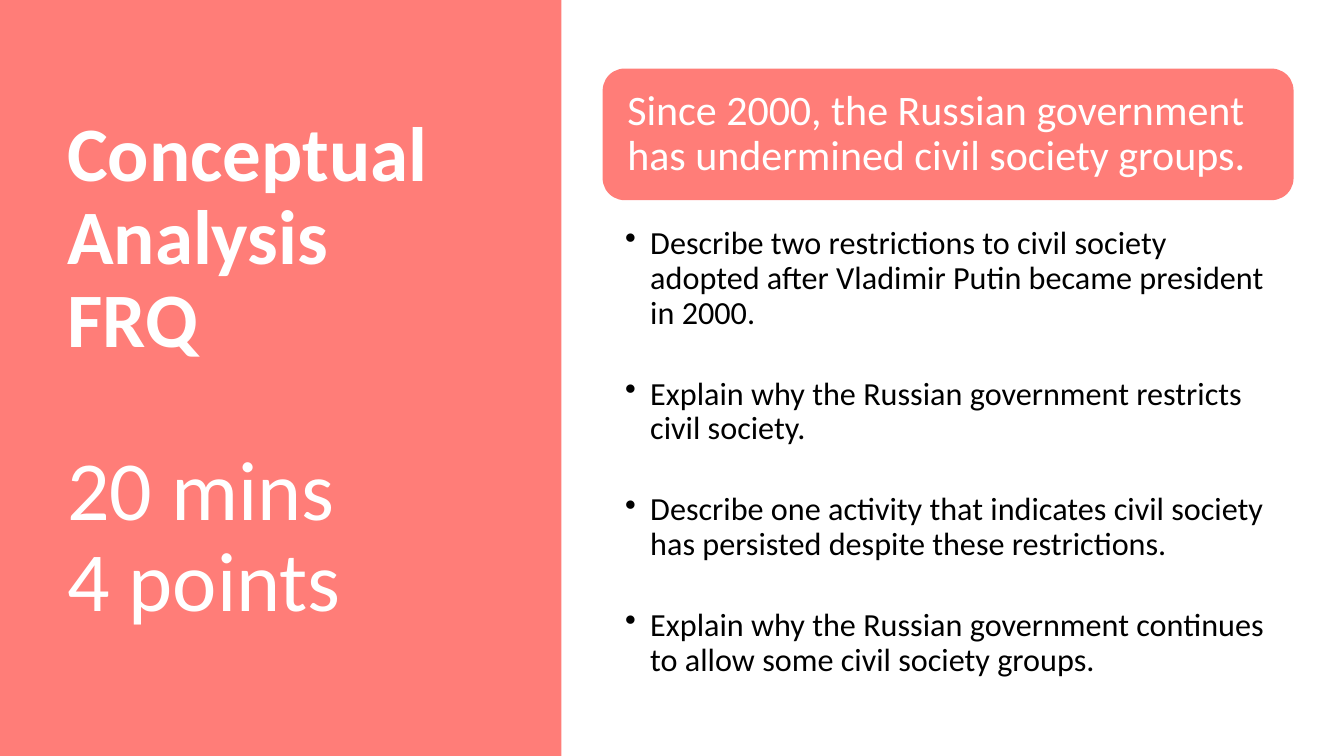
from dataclasses import dataclass

import lxml.etree
import pptx
import pptx.dml.color
import pptx.enum.shapes
import pptx.enum.text
import pptx.oxml.ns
import pptx.shapes.autoshape
import pptx.slide
import pptx.text.text
import pptx.util

Pt = pptx.util.Pt
RGBColor = pptx.dml.color.RGBColor
Shapes = pptx.enum.shapes.MSO_SHAPE
Anchor = pptx.enum.text.MSO_ANCHOR


@dataclass(frozen=True)
class Theme:
    font: str = "Calibri"
    coral: RGBColor = RGBColor(0xFF, 0x7D, 0x78)
    white: RGBColor = RGBColor(0xFF, 0xFF, 0xFF)
    black: RGBColor = RGBColor(0x00, 0x00, 0x00)
    title_size: float = 55
    timing_size: float = 60
    prompt_size: float = 30
    task_size: float = 23
    line_spacing: float = 0.9


@dataclass(frozen=True)
class Box:
    left: float
    top: float
    width: float
    height: float


@dataclass(frozen=True)
class Line:
    text: str
    size: float
    color: RGBColor
    bold: bool = False
    space_before: float = 0
    bulleted: bool = False


THEME = Theme()
SLIDE_WIDTH, SLIDE_HEIGHT = 960, 540
BULLET_INDENT = 18
TASK_GAP = 33

SIDE_PANEL = Box(0, 0, 401, SLIDE_HEIGHT)
TITLE_BOX = Box(41, 49, 299.5, 433.5)
PROMPT_BOX = Box(430.5, 49, 493.5, 94)
TASK_BOX = Box(430.5, 159, 493.5, 352)

TITLE_LINES = [
    Line("Conceptual Analysis FRQ", THEME.title_size, THEME.white, bold=True),
    Line("20 mins", THEME.timing_size, THEME.white, space_before=60),
    Line("4 points", THEME.timing_size, THEME.white),
]
PROMPT_LINES = [
    Line(
        "Since 2000, the Russian government has undermined civil society groups.",
        THEME.prompt_size,
        THEME.white,
    )
]
TASKS = [
    "Describe two restrictions to civil society adopted after Vladimir Putin became president in 2000.",
    "Explain why the Russian government restricts civil society.",
    "Describe one activity that indicates civil society has persisted despite these restrictions.",
    "Explain why the Russian government continues to allow some civil society groups.",
]
TASK_LINES = [
    Line(
        task,
        THEME.task_size,
        THEME.black,
        space_before=TASK_GAP if index else 0,
        bulleted=True,
    )
    for index, task in enumerate(TASKS)
]


def add_panel(
    slide: pptx.slide.Slide, box: Box, kind: Shapes
) -> pptx.shapes.autoshape.Shape:
    shape = slide.shapes.add_shape(
        kind, Pt(box.left), Pt(box.top), Pt(box.width), Pt(box.height)
    )
    shape.shadow.inherit = False
    shape.fill.solid()
    shape.fill.fore_color.rgb = THEME.coral
    shape.line.fill.background()
    return shape


def add_text_box(slide: pptx.slide.Slide, box: Box) -> pptx.shapes.autoshape.Shape:
    return slide.shapes.add_textbox(
        Pt(box.left), Pt(box.top), Pt(box.width), Pt(box.height)
    )


def add_bullet(paragraph: pptx.text.text._Paragraph) -> None:
    properties = paragraph._p.get_or_add_pPr()
    properties.set("marL", str(Pt(BULLET_INDENT)))
    properties.set("indent", str(-Pt(BULLET_INDENT)))
    bullet = lxml.etree.SubElement(properties, pptx.oxml.ns.qn("a:buChar"))
    bullet.set("char", "•")


def write_lines(
    shape: pptx.shapes.autoshape.Shape,
    lines: list[Line],
    anchor: Anchor,
    side_margin: float,
    end_margin: float,
) -> None:
    """Fill the shape with one left-aligned paragraph per line."""
    frame = shape.text_frame
    frame.word_wrap = True
    frame.vertical_anchor = anchor
    frame.margin_left = frame.margin_right = Pt(side_margin)
    frame.margin_top = frame.margin_bottom = Pt(end_margin)
    frame.text = "\n".join(line.text for line in lines)
    for paragraph, line in zip(frame.paragraphs, lines):
        paragraph.alignment = pptx.enum.text.PP_ALIGN.LEFT
        paragraph.line_spacing = THEME.line_spacing
        paragraph.space_before = Pt(line.space_before)
        if line.bulleted:
            add_bullet(paragraph)
        for run in paragraph.runs:
            run.font.name = THEME.font
            run.font.size = Pt(line.size)
            run.font.bold = line.bold
            run.font.color.rgb = line.color


def main() -> None:
    presentation = pptx.Presentation()
    presentation.slide_width = Pt(SLIDE_WIDTH)
    presentation.slide_height = Pt(SLIDE_HEIGHT)
    slide = presentation.slides.add_slide(presentation.slide_layouts[6])

    add_panel(slide, SIDE_PANEL, Shapes.RECTANGLE)
    title = add_text_box(slide, TITLE_BOX)
    write_lines(title, TITLE_LINES, Anchor.MIDDLE, 7.2, 3.6)

    prompt = add_panel(slide, PROMPT_BOX, Shapes.ROUNDED_RECTANGLE)
    write_lines(prompt, PROMPT_LINES, Anchor.MIDDLE, 13, 13)

    tasks = add_text_box(slide, TASK_BOX)
    write_lines(tasks, TASK_LINES, Anchor.TOP, 16, 3)

    presentation.save("out.pptx")


if __name__ == "__main__":
    main()
